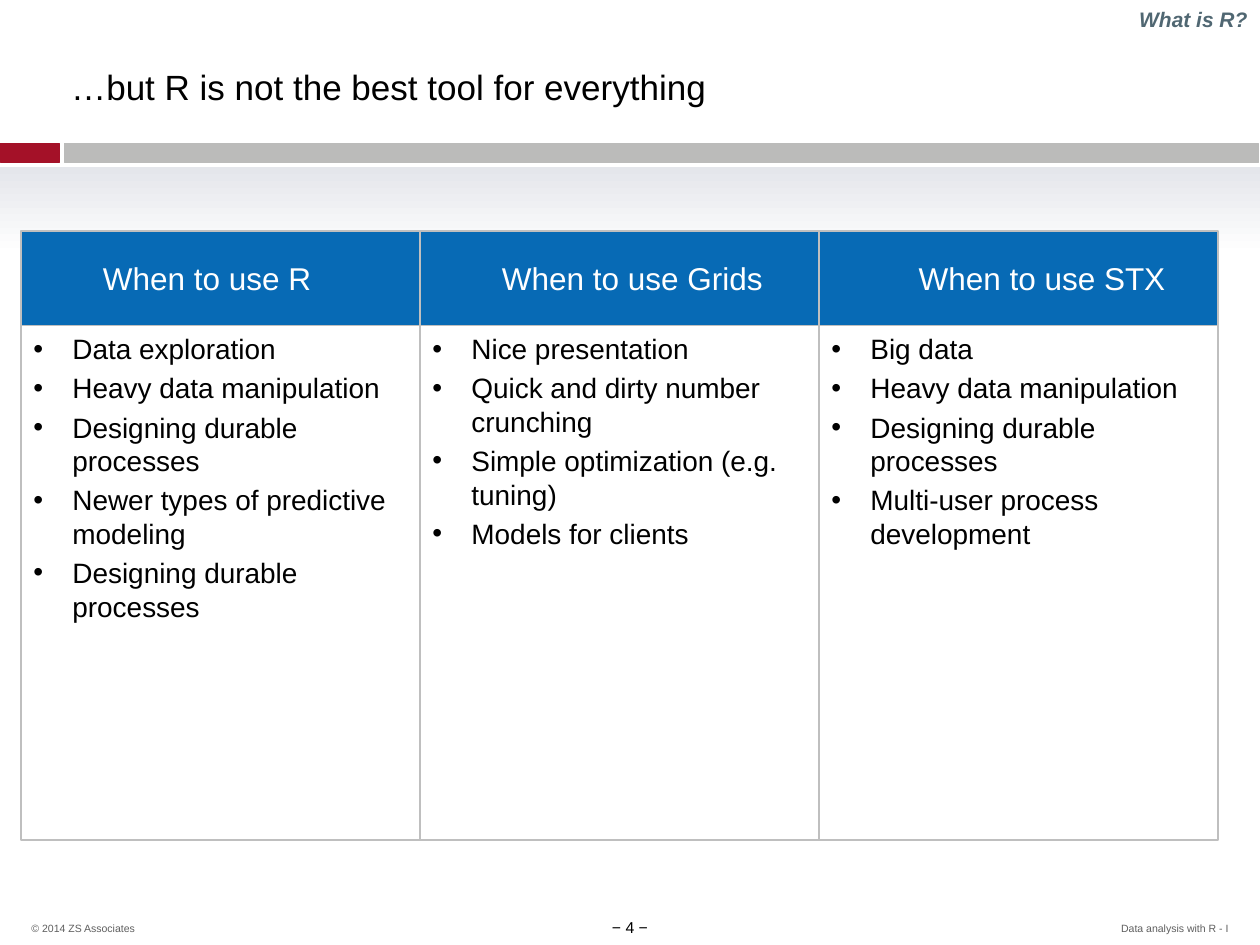
from dataclasses import dataclass

from lxml import etree
from pptx import Presentation
from pptx.dml.color import RGBColor
from pptx.enum.shapes import MSO_SHAPE
from pptx.enum.text import MSO_ANCHOR, PP_ALIGN
from pptx.oxml.ns import qn
from pptx.util import Inches, Pt

RECTANGLE = MSO_SHAPE.RECTANGLE
TOP, MIDDLE, BOTTOM = MSO_ANCHOR.TOP, MSO_ANCHOR.MIDDLE, MSO_ANCHOR.BOTTOM
LEFT, CENTER, RIGHT = PP_ALIGN.LEFT, PP_ALIGN.CENTER, PP_ALIGN.RIGHT


@dataclass(frozen=True)
class Theme:
    font: str = "Arial"
    ink: str = "000000"
    white: str = "FFFFFF"
    red: str = "A41128"
    gray: str = "BBBBBA"
    haze: str = "E4E6EB"
    blue: str = "076AB5"
    border: str = "BFBFBF"
    footer: str = "5F5F5F"
    section: str = "506772"
    title_size: int = 20
    header_size: int = 18
    body_size: int = 16
    section_size: int = 12
    page_size: int = 9
    footer_size: int = 6


theme = Theme()

prs = Presentation()
prs.slide_width, prs.slide_height = Inches(10), Inches(7.5)
slide = prs.slides.add_slide(prs.slide_layouts[6])

# The slide is a grid of 120 columns by 90 rows
COL, ROW = prs.slide_width / 120, prs.slide_height / 90


def add_box(col, row, cols, rows, fill=None, line=None, line_width=1):
    box = slide.shapes.add_shape(
        RECTANGLE, *(int(v) for v in (col * COL, row * ROW, cols * COL, rows * ROW)))
    box.shadow.inherit = False
    if fill:
        box.fill.solid()
        box.fill.fore_color.rgb = RGBColor.from_string(fill)
    else:
        box.fill.background()
    if line:
        box.line.color.rgb = RGBColor.from_string(line)
        box.line.width = Pt(line_width)
    else:
        box.line.fill.background()
    return box


def write(frame, lines, size, color, align=LEFT, anchor=TOP, margins=(0.1, 0.05, 0.1, 0.05),
          bold=False, italic=False, bullet=False, line_spacing=None):
    """Fill a text frame with one paragraph per line; margins are left, top, right, bottom."""
    frame.word_wrap = True
    frame.vertical_anchor = anchor
    (frame.margin_left, frame.margin_top,
     frame.margin_right, frame.margin_bottom) = (Inches(m) for m in margins)
    for i, line in enumerate(lines):
        paragraph = frame.add_paragraph() if i else frame.paragraphs[0]
        paragraph.alignment = align
        if line_spacing:
            paragraph.line_spacing = line_spacing
        if i:
            paragraph.space_before = Pt(0.2 * size)
        if bullet:
            properties = paragraph._p.get_or_add_pPr()
            properties.set("marL", str(Inches(0.31)))
            properties.set("indent", str(-Inches(0.31)))
            etree.SubElement(properties, qn("a:buFont"), typeface=theme.font)
            etree.SubElement(properties, qn("a:buChar"), char="•")
        run = paragraph.add_run()
        run.text = line
        run.font.name, run.font.size = theme.font, Pt(size)
        run.font.bold, run.font.italic = bold, italic
        run.font.color.rgb = RGBColor.from_string(color)


# Banner
add_box(0, 13.65, 5.65, 1.8, theme.red, theme.red, 0.25)
add_box(6.1, 13.65, 113.7, 1.8, theme.gray, theme.gray, 0.25)
haze = add_box(0, 15.95, 120, 8.3, theme.haze)
haze.fill.gradient()
haze.fill.gradient_angle = 270
for stop, color in zip(haze.fill.gradient_stops, (theme.haze, theme.white)):
    stop.color.rgb = RGBColor.from_string(color)

# Footer, title and section label: place on the grid, wording, style
labels = [
    ((88.4, 87.3, 28.6, 1.7), "Data analysis with R - I",
     dict(size=theme.footer_size, color=theme.footer, align=RIGHT, anchor=BOTTOM,
          margins=(0, 0, 0, 0), line_spacing=0.8)),
    ((3, 87.3, 28.6, 1.7), "© 2014 ZS Associates",
     dict(size=theme.footer_size, color=theme.footer, anchor=BOTTOM,
          margins=(0, 0, 0, 0), line_spacing=0.8)),
    ((54, 87.4, 12, 1.8), "− 4 −",
     dict(size=theme.page_size, color=theme.ink, align=CENTER, margins=(0.1, 0, 0.1, 0))),
    ((5.7, 5.8, 108.6, 4.9), "…but R is not the best tool for everything",
     dict(size=theme.title_size, color=theme.ink, anchor=MIDDLE,
          margins=(0.09, 0.04, 0.09, 0.04))),
    ((93, 0, 27, 3.6), "What is R?",
     dict(size=theme.section_size, color=theme.section, align=RIGHT, anchor=BOTTOM,
          bold=True, italic=True)),
]
for (col, row, cols, rows), wording, style in labels:
    label = slide.shapes.add_textbox(
        *(int(v) for v in (col * COL, row * ROW, cols * COL, rows * ROW)))
    write(label.text_frame, [wording], **style)

# Three tools side by side: header, header indent in inches, uses
tools = [
    ("When to use R", 0.65,
     ["Data exploration", "Heavy data manipulation", "Designing durable processes",
      "Newer types of predictive modeling", "Designing durable processes"]),
    ("When to use Grids", 0.65,
     ["Nice presentation", "Quick and dirty number crunching",
      "Simple optimization (e.g. tuning)", "Models for clients"]),
    ("When to use STX", 0.79,
     ["Big data", "Heavy data manipulation", "Designing durable processes",
      "Multi-user process development"]),
]
first_col, tool_cols = 2, 38
header_row, header_rows, uses_rows = 22, 9, 49
for i, (heading, indent, uses) in enumerate(tools):
    col = first_col + i * tool_cols
    uses_box = add_box(col, header_row + header_rows, tool_cols, uses_rows, line=theme.border)
    write(uses_box.text_frame, uses, theme.body_size, theme.ink, bullet=True)
    header = add_box(col, header_row, tool_cols, header_rows, theme.blue, theme.border)
    write(header.text_frame, [heading], theme.header_size, theme.white, anchor=MIDDLE,
          margins=(indent, 0.05, 0.1, 0.05))

prs.save("out.pptx")
